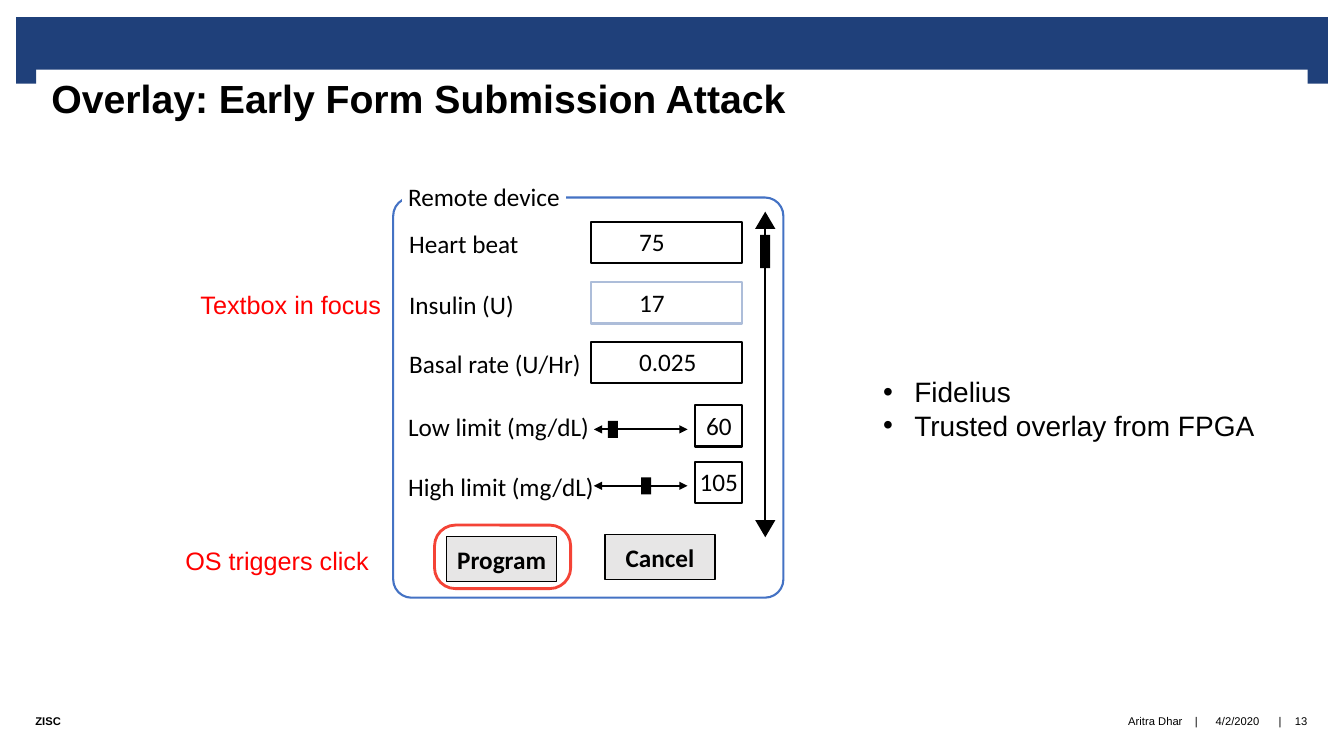
from lxml.etree import SubElement
from pptx import Presentation
from pptx.dml.color import RGBColor
from pptx.enum.shapes import MSO_CONNECTOR, MSO_SHAPE as Shape
from pptx.enum.text import MSO_ANCHOR as Anchor, MSO_AUTO_SIZE as AutoSize, PP_ALIGN as Align
from pptx.oxml.ns import qn
from pptx.util import Inches, Pt

# Content
TITLE = "Overlay: Early Form Submission Attack"
PANEL_TITLE = "Remote device"
# label, label top, value, value left, field top, field border
FIELDS = [
    ("Heart beat", 2.22, "75", 2.2, "black"),
    ("Insulin (U)", 2.82, "17", 2.8, "focus"),
    ("Basal rate (U/Hr)", 3.41, "0.025", 3.39, "black"),
]
# label, label top, label width, value, value width, field top, knob left
LIMITS = [
    ("Low limit (mg/dL)", 4.03, 2.01, "60", 0.46, 4.02, 6.03),
    ("High limit (mg/dL)", 4.63, 2.06, "105", 0.59, 4.58, 6.36),
]
BUTTONS = [("Program", 4.43, 5.32), ("Cancel", 6.0, 5.3)]
NOTES = [("Textbox in focus", 1.89, 2.82, 2.3), ("OS triggers click", 1.74, 5.36, 2.21)]
POINTS = ["Fidelius", "Trusted overlay from FPGA"]
# text, left, width, alignment, bold
FOOTER = [
    ("ZISC", 0.35, 6.31, Align.LEFT, True),
    ("Aritra Dhar", 6.66, 5.07, Align.RIGHT, False),
    ("|", 11.79, 0.15, Align.CENTER, False),
    ("4/2/2020", 11.94, 0.67, Align.CENTER, False),
    ("|", 12.62, 0.15, Align.CENTER, False),
    ("13", 12.71, 0.39, Align.CENTER, False),
]
COLORS = {
    "navy": "1F407A", "white": "FFFFFF", "black": "000000", "panel": "4472C4",
    "focus": "ADBDD9", "button": "E7E6E6", "note": "FF0000", "ring": "F44336",
}

# Grid: columns and row sizes, in inches
WIDTH, HEIGHT = 13.33, 7.5
MARGIN, CONTENT_WIDTH = 0.35, 12.62
LABEL_X, FIELD_X, FIELD_RIGHT = 3.96, 5.86, 7.36
VALUE_X, LIMIT_X = 6.24, 6.89
FIELD_H, LINE_H = 0.41, 0.4
SLIDER_X, SLIDER_RIGHT = 5.89, 6.82
SCROLL_X, SCROLL_TOP, SCROLL_BOTTOM = 7.59, 2.1, 5.33
KNOB_W, KNOB_H, ARROW_W, ARROW_H = 0.1, 0.17, 0.2, 0.17

deck = Presentation()
deck.slide_width, deck.slide_height = Inches(WIDTH), Inches(HEIGHT)
page = deck.slides.add_slide(deck.slide_layouts[5])


def color(name):
    return RGBColor.from_string(COLORS[name])


def add_box(left, top, width, height, fill=None, line=None, weight=1.5,
            kind=Shape.RECTANGLE, round_by=None):
    box = page.shapes.add_shape(kind, *map(Inches, (left, top, width, height)))
    box.shadow.inherit = False
    if fill:
        box.fill.solid()
        box.fill.fore_color.rgb = color(fill)
    else:
        box.fill.background()
    if line:
        box.line.color.rgb = color(line)
        box.line.width = Pt(weight)
    else:
        box.line.fill.background()
    if round_by is not None:
        box.adjustments[0] = round_by
    return box


def write(box, lines, size=18, font="Calibri", ink="black", bold=False, align=Align.LEFT,
          anchor=Anchor.TOP, insets=(0.1, 0.05, 0.1, 0.05), wrap=True, bullet=None):
    frame = box.text_frame
    frame.word_wrap, frame.auto_size, frame.vertical_anchor = wrap, AutoSize.NONE, anchor
    (frame.margin_left, frame.margin_top,
     frame.margin_right, frame.margin_bottom) = map(Inches, insets)
    for index, text in enumerate(lines):
        para = frame.paragraphs[0] if index == 0 else frame.add_paragraph()
        para.alignment = align
        if bullet:
            props = para._p.get_or_add_pPr()
            props.set("marL", str(Inches(0.31)))
            props.set("indent", str(-Inches(0.31)))
            SubElement(props, qn("a:buFont")).set("typeface", "Arial")
            SubElement(props, qn("a:buChar")).set("char", bullet)
        span = para.add_run()
        span.text = text
        span.font.name, span.font.size, span.font.bold = font, Pt(size), bold
        span.font.color.rgb = color(ink)


def add_text(lines, left, top, width, height=LINE_H, **style):
    box = page.shapes.add_textbox(*map(Inches, (left, top, width, height)))
    write(box, lines, **style)


def add_line(x1, y1, x2, y2, arrows=False):
    line = page.shapes.add_connector(MSO_CONNECTOR.STRAIGHT, *map(Inches, (x1, y1, x2, y2)))
    line.line.color.rgb = color("black")
    line.line.width = Pt(1.5)
    if arrows:
        for end in ("a:headEnd", "a:tailEnd"):
            SubElement(line.line._get_or_add_ln(), qn(end)).set("type", "triangle")
    SubElement(line._element.spPr, qn("a:effectLst"))


# Title
title = page.shapes.title
title.left, title.top, title.width, title.height = map(
    Inches, (MARGIN, 0.68, CONTENT_WIDTH, 1.06))
title.fill.solid()
title.fill.fore_color.rgb = color("white")
write(title, [TITLE], size=28, font="Arial", bold=True, insets=(0.16, 0.06, 0.16, 0))

# Banner with its two corner tabs
add_box(0.16, 0.17, 13.01, 0.52, fill="navy")
for tab_x in (0.16, 12.97):
    add_box(tab_x, 0.65, 0.2, 0.18, fill="navy")

# Footer
for text, left, width, align, bold in FOOTER:
    add_text([text], left, 6.9, width, 0.5, size=8, font="Arial", bold=bold, align=align,
             anchor=Anchor.MIDDLE, insets=(0, 0, 0, 0))

# Device panel with its title set into the border
add_box(3.9, 1.96, 3.87, 3.97, fill="white", line="panel",
        kind=Shape.ROUNDED_RECTANGLE, round_by=0.047)
add_box(3.99, 1.92, 1.62, 0.18, fill="white", line="white", weight=1)
add_text([PANEL_TITLE], 3.95, 1.75, 1.73, wrap=False)

# Text fields
for label, label_top, value, top, border in FIELDS:
    add_text([label], LABEL_X, label_top, FIELD_X - LABEL_X)
    add_box(FIELD_X, top, FIELD_RIGHT - FIELD_X, FIELD_H, fill="white", line=border)
    add_text([value], VALUE_X, top, FIELD_RIGHT - VALUE_X)

# Limits with sliders
for label, label_top, label_width, value, value_width, top, knob_x in LIMITS:
    middle = top + 0.24
    add_text([label], 3.95, label_top, label_width, wrap=False)
    add_line(SLIDER_X, middle, SLIDER_RIGHT, middle, arrows=True)
    add_box(knob_x, middle - KNOB_H / 2, KNOB_W, KNOB_H, fill="black")
    add_box(LIMIT_X, top, FIELD_RIGHT - LIMIT_X, FIELD_H, fill="white", line="black")
    value_x = (LIMIT_X + FIELD_RIGHT - value_width) / 2 + 0.01
    add_text([value], value_x, top, value_width, wrap=False)

# Scroll bar
add_line(SCROLL_X, SCROLL_TOP + ARROW_H, SCROLL_X, SCROLL_BOTTOM - ARROW_H)
for arrow_top, turn in ((SCROLL_TOP, 0), (SCROLL_BOTTOM - ARROW_H, 180)):
    arrow = add_box(SCROLL_X - ARROW_W / 2, arrow_top, ARROW_W, ARROW_H, fill="black",
                    kind=Shape.ISOSCELES_TRIANGLE)
    arrow.rotation = turn
add_box(SCROLL_X - KNOB_W / 2, 2.33, KNOB_W, 0.33, fill="black")

# Buttons and the ring around the attacked one
for text, left, top in BUTTONS:
    button = add_box(left, top, 1.09, 0.45, fill="button", line="black", weight=1)
    write(button, [text], bold=True, align=Align.CENTER, anchor=Anchor.MIDDLE,
          insets=(0.05, 0.05, 0.05, 0.05))
add_box(4.31, 5.21, 1.35, 0.63, line="ring", weight=2,
        kind=Shape.ROUNDED_RECTANGLE, round_by=0.328)

# Attack notes and defence
for text, left, top, width in NOTES:
    add_text([text], left, top, width, font="Arial", ink="note")
add_text(POINTS, 8.66, 3.67, 4.26, 1.11, size=20, font="Arial", bullet="•")

deck.save("out.pptx")
